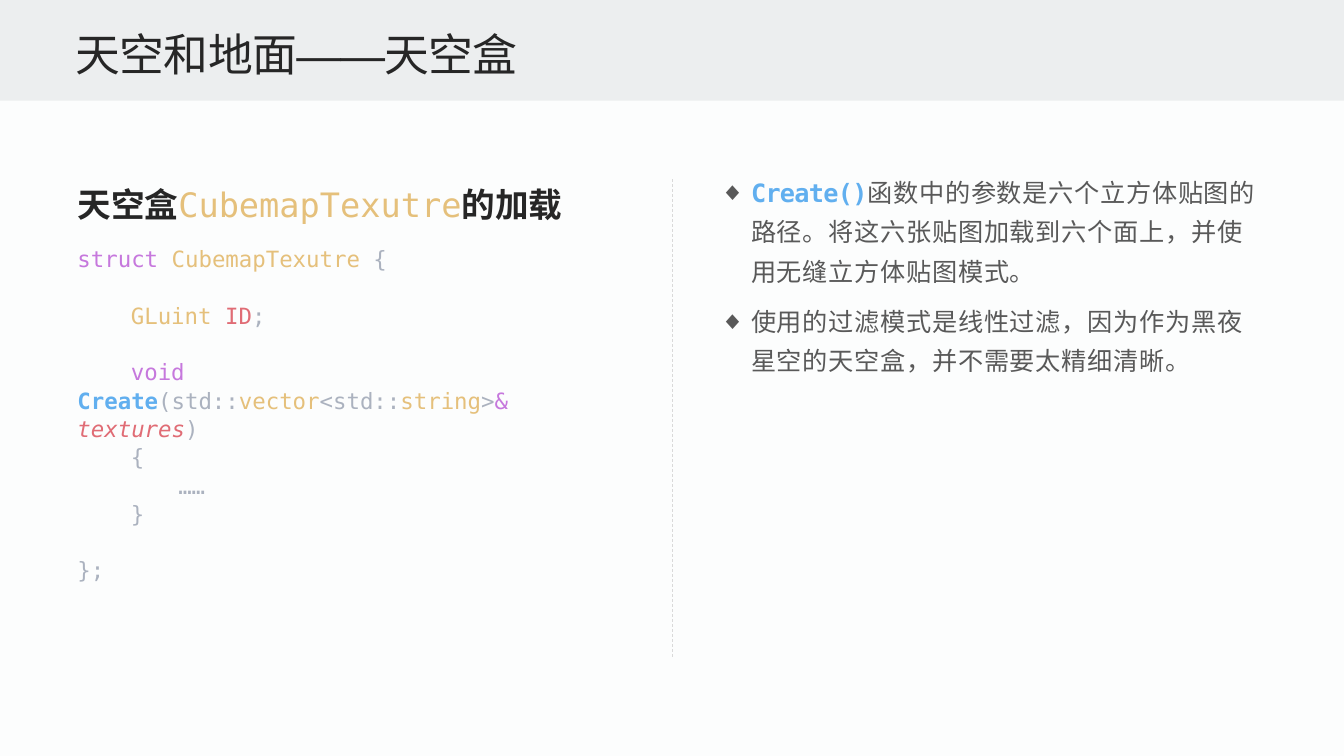
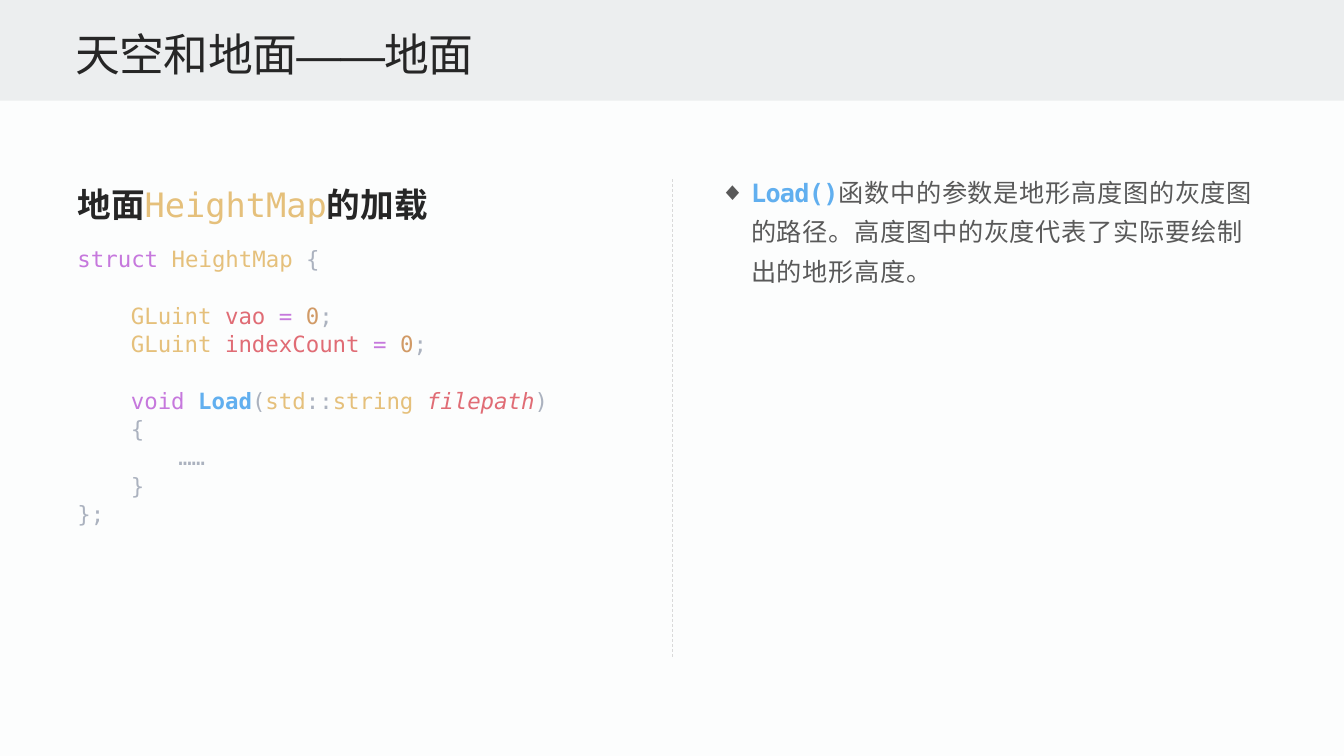
from lxml import etree
from pptx import Presentation
from pptx.dml.color import RGBColor
from pptx.enum.dml import MSO_LINE
from pptx.enum.shapes import MSO_CONNECTOR, MSO_SHAPE
from pptx.enum.text import MSO_ANCHOR
from pptx.oxml.ns import qn
from pptx.util import Inches, Pt

RECT = MSO_SHAPE.RECTANGLE
LINE = MSO_CONNECTOR.STRAIGHT
DASH = MSO_LINE.DASH
TOP, BASE = MSO_ANCHOR.TOP, MSO_ANCHOR.BOTTOM

SANS, MONO = "Arial", "DejaVu Sans Mono"
HUES = {
    "page": "FCFDFD", "band": "ECEEEF", "rule": "D9D9D9",
    "dark": "262626", "body": "595959", "key": "C678DD",
    "type": "E5C07B", "name": "E06C75", "call": "61AFEF",
    "num": "D19A66", "mark": "ABB2BF", "arg": "E06C75",
}
TITLE = {"size": Pt(32), "name": SANS}
HEAD = {"size": Pt(24), "name": SANS, "bold": True}
TERM = {"size": Pt(24), "name": MONO, "bold": False}
CODE = {"size": Pt(16), "name": MONO}
FUNC = {"size": Pt(18), "name": MONO, "bold": True}
BODY = {"size": Pt(18), "name": SANS}
EXTRA = {"call": {"bold": True}, "arg": {"italic": True}}

LEFT, WIDE = 0.67, 5.38
STEP = Pt(20.2)
TAB, DEEP = 0.53, 1
HANG = 0.31

OPEN = (TAB, 0, [("{", "mark")])
DOTS = (DEEP, 0, [("……", "mark")])
CLOSE = (TAB, 0, [("}", "mark")])

PAGES = [
    {
        "topic": "天空盒",
        "term": "CubemapTexutre",
        "code": [
            (TAB, 1, [("GLuint ", "type"), ("ID", "name"), (";", "mark")]),
            (TAB, 1, [("void ", "key"), ("Create", "call"), ("(std::", "mark"),
                      ("vector", "type"), ("<std::", "mark"), ("string", "type"),
                      (">", "mark"), ("& ", "key"), ("textures", "arg"), (")", "mark")]),
            OPEN, DOTS, CLOSE,
            (0, 1, [("};", "mark")]),
        ],
        "notes": [
            ("Create()", "函数中的参数是六个立方体贴图的路径。将这六张贴图加载到六个面上，并使用无缝立方体贴图模式。"),
            ("", "使用的过滤模式是线性过滤，因为作为黑夜星空的天空盒，并不需要太精细清晰。"),
        ],
    },
    {
        "topic": "地面",
        "term": "HeightMap",
        "code": [
            (TAB, 1, [("GLuint ", "type"), ("vao ", "name"), ("= ", "key"),
                      ("0", "num"), (";", "mark")]),
            (TAB, 0, [("GLuint ", "type"), ("indexCount ", "name"), ("= ", "key"),
                      ("0", "num"), (";", "mark")]),
            (TAB, 1, [("void ", "key"), ("Load", "call"), ("(", "mark"),
                      ("std", "type"), ("::", "mark"), ("string ", "type"),
                      ("filepath", "arg"), (")", "mark")]),
            OPEN, DOTS, CLOSE,
            (0, 0, [("};", "mark")]),
        ],
        "notes": [
            ("Load()", "函数中的参数是地形高度图的灰度图的路径。高度图中的灰度代表了实际要绘制出的地形高度。"),
        ],
    },
]


def tint(hue):
    return RGBColor.from_string(HUES[hue])


def add_run(par, text, hue, form, gap=0):
    run = par.add_run()
    run.text = text
    for key, val in form.items():
        setattr(run.font, key, val)
    run.font.color.rgb = tint(hue)
    props = run.font._element if hasattr(run.font, "_element") else run._r.get_or_add_rPr()
    if gap:
        props.set("spc", str(int(gap * 100)))
    face = etree.SubElement(props, qn("a:ea"))
    face.set("typeface", form["name"])
    latin = props.find(qn("a:latin"))
    latin.addnext(face)


def add_box(slide, spot, pads=(0.1, 0.05), anchor=TOP):
    frame = slide.shapes.add_textbox(*map(Inches, spot)).text_frame
    side, edge = map(Inches, pads)
    form = {"word_wrap": True, "vertical_anchor": anchor,
            "margin_left": side, "margin_right": side,
            "margin_top": edge, "margin_bottom": edge}
    for key, val in form.items():
        setattr(frame, key, val)
    return frame


def next_par(frame, first):
    return frame.paragraphs[0] if first else frame.add_paragraph()


def add_band(slide):
    band = slide.shapes.add_shape(RECT, 0, 0, Inches(13.33), Inches(1))
    band.shadow.inherit = False
    band.fill.solid()
    band.fill.fore_color.rgb = tint("band")
    band.line.fill.background()


def add_rule(slide):
    ends = map(Inches, (6.67, 1.78, 6.67, 6.52))
    rule = slide.shapes.add_connector(LINE, *ends)
    rule.line.color.rgb = tint("rule")
    rule.line.width = Pt(0.5)
    rule.line.dash_style = DASH
    etree.SubElement(rule._element.spPr, qn("a:effectLst"))


def add_title(slide, topic):
    frame = add_box(slide, (LEFT, 0.17, 12, 0.67), (0.08, 0.04), BASE)
    add_run(frame.paragraphs[0], "天空和地面——" + topic, "dark", TITLE, -0.5)


def add_head(slide, topic, term):
    par = add_box(slide, (LEFT, 1.78, WIDE, 0.5)).paragraphs[0]
    add_run(par, topic, "dark", HEAD)
    add_run(par, term, "type", TERM)
    add_run(par, "的加载", "dark", HEAD)


def add_code(slide, term, rows):
    frame = add_box(slide, (LEFT, 2.37, WIDE, 4.15))
    start = (0, 0, [("struct ", "key"), (term, "type"), (" {", "mark")])
    for num, (dent, skip, parts) in enumerate([start] + rows):
        par = next_par(frame, num == 0)
        par.line_spacing = STEP
        par.space_before = STEP * skip
        par._p.get_or_add_pPr().set("indent", str(Inches(dent)))
        for text, hue in parts:
            add_run(par, text, hue, {**CODE, **EXTRA.get(hue, {})})


def add_mark(par):
    props = par._p.get_or_add_pPr()
    props.set("marL", str(Inches(HANG)))
    props.set("indent", str(-Inches(HANG)))
    shade = etree.SubElement(props, qn("a:buClr"))
    etree.SubElement(shade, qn("a:srgbClr")).set("val", HUES["body"])
    etree.SubElement(props, qn("a:buFont")).set("typeface", SANS)
    etree.SubElement(props, qn("a:buChar")).set("char", "◆")


def add_notes(slide, notes):
    frame = add_box(slide, (7.06, 1.67, 5.6, 4.83), (0.08, 0))
    for num, (func, text) in enumerate(notes):
        par = next_par(frame, num == 0)
        par.line_spacing = 1.3
        par.space_after = Pt(8)
        add_mark(par)
        if func:
            add_run(par, func, "call", FUNC, -0.5)
        add_run(par, text, "body", BODY, 0.5)


def add_page(deck, page):
    slide = deck.slides.add_slide(deck.slide_layouts[6])
    slide.background.fill.solid()
    slide.background.fill.fore_color.rgb = tint("page")
    add_band(slide)
    add_code(slide, page["term"], page["code"])
    add_head(slide, page["topic"], page["term"])
    add_rule(slide)
    add_title(slide, page["topic"])
    add_notes(slide, page["notes"])


def main():
    deck = Presentation()
    deck.slide_width, deck.slide_height = Inches(13.33), Inches(7.5)
    for page in PAGES:
        add_page(deck, page)
    deck.save("out.pptx")


if __name__ == "__main__":
    main()
